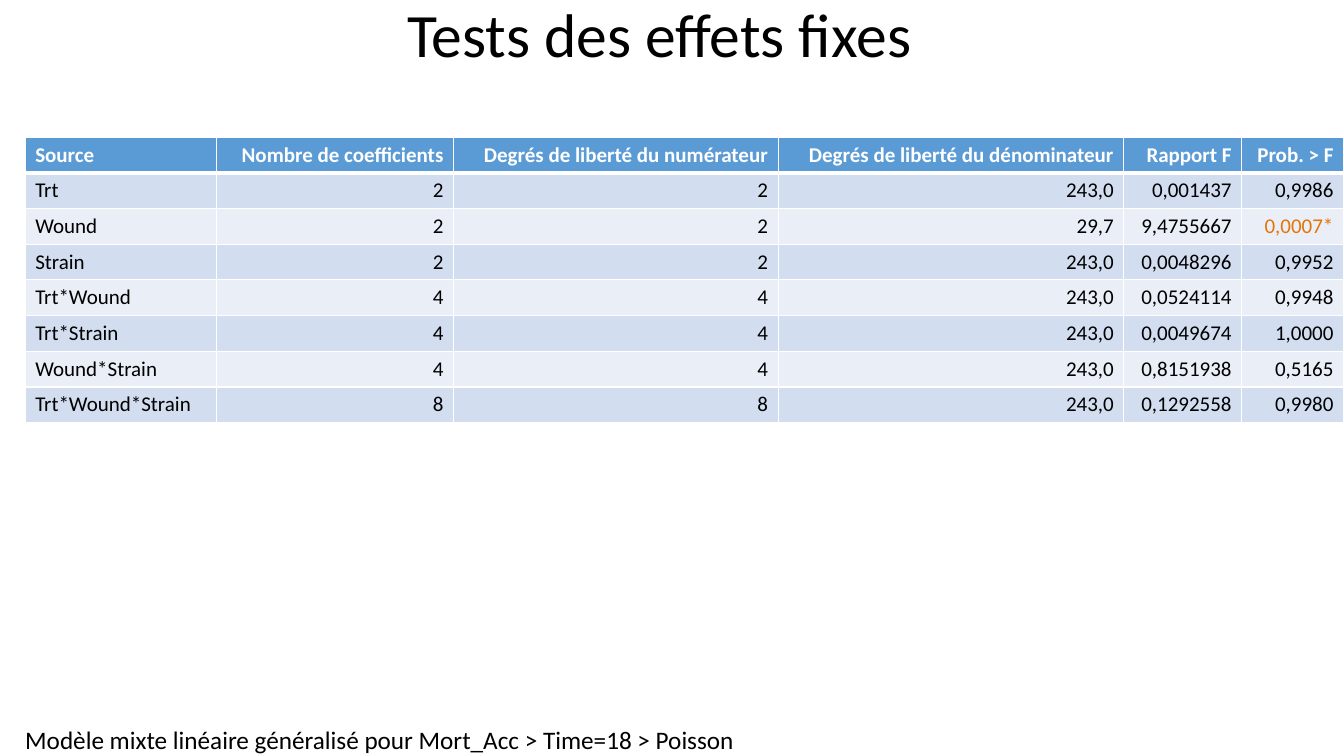
import pptx
import pptx.dml.color
import pptx.enum.text
import pptx.oxml
import pptx.oxml.ns
import pptx.util

Pt = pptx.util.Pt
RGBColor = pptx.dml.color.RGBColor
Align = pptx.enum.text.PP_ALIGN
Anchor = pptx.enum.text.MSO_ANCHOR
AutoSize = pptx.enum.text.MSO_AUTO_SIZE

BLACK = RGBColor(0x00, 0x00, 0x00)
WHITE = RGBColor(0xFF, 0xFF, 0xFF)
HEADER_BLUE = RGBColor(0x5B, 0x9B, 0xD5)
BAND_DARK = RGBColor(0xD2, 0xDE, 0xEF)
BAND_LIGHT = RGBColor(0xEA, 0xEF, 0xF7)
SIGNIFICANT = RGBColor(0xE5, 0x74, 0x06)

COLUMN_WIDTHS = [136.8, 169.2, 231.84, 246.96, 84.24, 72.72]
ROW_HEIGHT = 25.5
EFFECTS = [
    ["Source", "Nombre de coefficients", "Degrés de liberté du numérateur",
     "Degrés de liberté du dénominateur", "Rapport F", "Prob. > F"],
    ["Trt", "2", "2", "243,0", "0,001437", "0,9986"],
    ["Wound", "2", "2", "29,7", "9,4755667", "0,0007*"],
    ["Strain", "2", "2", "243,0", "0,0048296", "0,9952"],
    ["Trt*Wound", "4", "4", "243,0", "0,0524114", "0,9948"],
    ["Trt*Strain", "4", "4", "243,0", "0,0049674", "1,0000"],
    ["Wound*Strain", "4", "4", "243,0", "0,8151938", "0,5165"],
    ["Trt*Wound*Strain", "8", "8", "243,0", "0,1292558", "0,9980"],
]


class SlideBuilder:
    def __init__(self, slide, font="Calibri"):
        self.slide = slide
        self.font = font

    def add_text(self, frame, text, size, color=BLACK, bold=False, align=Align.LEFT):
        para = frame.paragraphs[0]
        para.alignment = align
        span = para.add_run()
        span.text = text
        span.font.name = self.font
        span.font.size = Pt(size)
        span.font.bold = bold
        span.font.color.rgb = color
        return para

    def text_box(self, left, top, width, height):
        box = self.slide.shapes.add_textbox(Pt(left), Pt(top), Pt(width), Pt(height))
        return box.text_frame

    def title(self, left, top, width, height, text):
        frame = self.text_box(left, top, width, height)
        frame.word_wrap = True
        frame.vertical_anchor = Anchor.MIDDLE
        self.add_text(frame, text, 44, align=Align.CENTER).line_spacing = 0.9

    def caption(self, left, top, width, height, text):
        frame = self.text_box(left, top, width, height)
        frame.margin_left = frame.margin_right = 0
        frame.margin_top = frame.margin_bottom = 0
        frame.word_wrap = False
        frame.auto_size = AutoSize.SHAPE_TO_FIT_TEXT
        self.add_text(frame, text, 18)

    def borders(self, cell, bottom):
        properties = cell._tc.get_or_add_tcPr()
        sides = {"lnL": 1, "lnR": 1, "lnT": 1, "lnB": bottom}
        for index, (side, width) in enumerate(sides.items()):
            line = pptx.oxml.parse_xml(
                f'<a:{side} {pptx.oxml.ns.nsdecls("a")} w="{Pt(width)}">'
                f'<a:solidFill><a:srgbClr val="{WHITE}"/></a:solidFill></a:{side}>')
            properties.insert(index, line)

    def table(self, left, top, rows, widths, row_height):
        frame = self.slide.shapes.add_table(
            len(rows), len(widths), Pt(left), Pt(top),
            Pt(sum(widths)), Pt(row_height * len(rows)))
        table = frame.table
        for column, width in zip(table.columns, widths):
            column.width = Pt(width)
        for row_index, values in enumerate(rows):
            table.rows[row_index].height = Pt(row_height)
            header = row_index == 0
            band = BAND_DARK if row_index % 2 else BAND_LIGHT
            for column_index, value in enumerate(values):
                cell = table.cell(row_index, column_index)
                cell.fill.solid()
                cell.fill.fore_color.rgb = HEADER_BLUE if header else band
                self.borders(cell, 3 if header else 1)
                color = WHITE if header else BLACK
                if value.endswith("*"):
                    color = SIGNIFICANT
                align = Align.RIGHT if column_index else Align.LEFT
                self.add_text(cell.text_frame, value, 15, color, header, align)


def main():
    deck = pptx.Presentation()
    deck.slide_width = Pt(960)
    deck.slide_height = Pt(540)
    page = SlideBuilder(deck.slides.add_slide(deck.slide_layouts[6]))
    page.caption(18, 517.68, 507.6, 22.32,
                 "Modèle mixte linéaire généralisé pour Mort_Acc > Time=18 > Poisson")
    page.title(0, 0, 942, 54, "Tests des effets fixes")
    page.table(18, 98, EFFECTS, COLUMN_WIDTHS, ROW_HEIGHT)
    deck.save("out.pptx")


if __name__ == "__main__":
    main()
